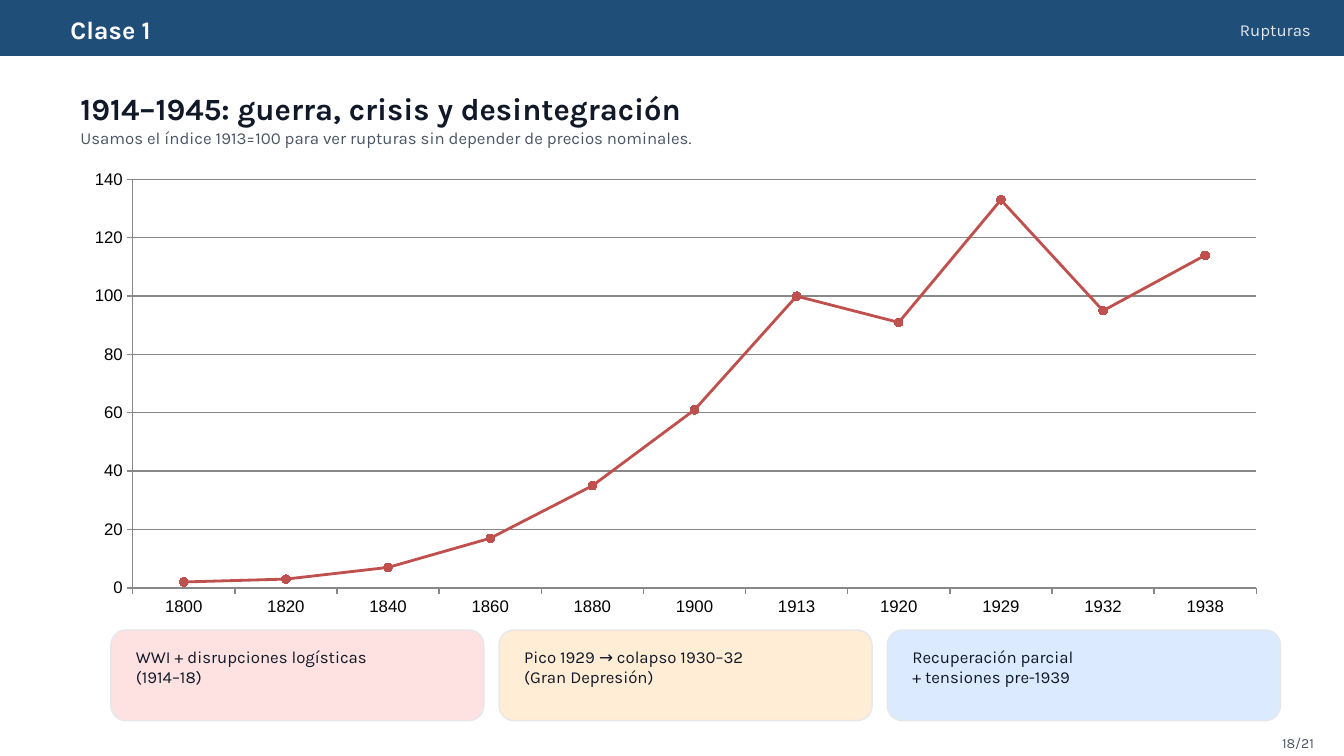
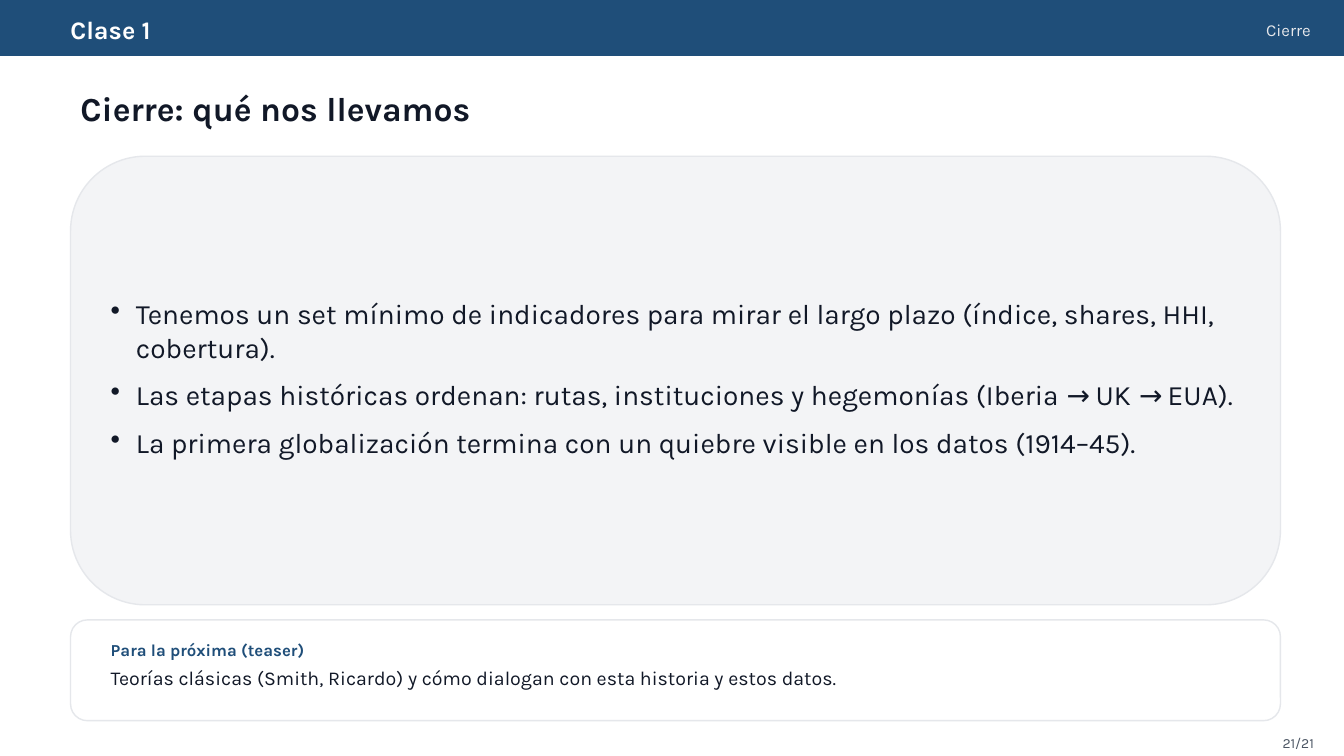
import pptx
import pptx.chart.data
import pptx.dml.color
import pptx.enum.chart
import pptx.enum.shapes
import pptx.enum.text
import pptx.util
import lxml.etree
import pptx.oxml.ns

RGB = pptx.dml.color.RGBColor
PT = pptx.util.Pt
INCH = pptx.util.Inches
SHAPE = pptx.enum.shapes.MSO_SHAPE
ALIGN = pptx.enum.text.PP_ALIGN
ANCHOR = pptx.enum.text.MSO_ANCHOR
CHART = pptx.enum.chart

NAVY = RGB(0x1F, 0x4E, 0x79)
WHITE = RGB(0xFF, 0xFF, 0xFF)
INK = RGB(0x11, 0x18, 0x27)
SLATE = RGB(0x4B, 0x55, 0x63)
EDGE = RGB(0xE5, 0xE7, 0xEB)
PALE = RGB(0xF3, 0xF4, 0xF6)
ROSE = RGB(0xFE, 0xE2, 0xE2)
PEACH = RGB(0xFF, 0xED, 0xD5)
SKY = RGB(0xDB, 0xEA, 0xFE)
BRICK = RGB(0xC0, 0x50, 0x4D)
GRAY = RGB(0x88, 0x88, 0x88)
BLACK = RGB(0, 0, 0)

# Grid: 12 columns between the margins, 75 rows down the slide
WIDE, HIGH = 13.33, 7.5
LEFT = 0.7
COLS, ROWS = 12, 75
COL, ROW = 1, HIGH / ROWS
PAGES = 21


def place(x, y, w, h):
    """Turn columns and rows into left, top, width and height."""
    return INCH(LEFT + x * COL), INCH(y * ROW), INCH(w * COL), INCH(h * ROW)


def panel(slide, area, fill, line=EDGE, kind=SHAPE.ROUNDED_RECTANGLE):
    shape = slide.shapes.add_shape(kind, *place(*area))
    shape.shadow.inherit = False
    shape.fill.solid()
    shape.fill.fore_color.rgb = fill
    shape.line.color.rgb = line
    shape.line.width = PT(1)


def bullet(para):
    props = para._p.get_or_add_pPr()
    props.set("marL", str(INCH(0.25)))
    props.set("indent", str(-INCH(0.25)))
    mark = lxml.etree.SubElement(props, pptx.oxml.ns.qn("a:buChar"))
    mark.set("char", "•")


def text(slide, area, lines, size, color=INK, bold=False, align=ALIGN.LEFT,
         anchor=ANCHOR.MIDDLE, dots=False):
    frame = slide.shapes.add_textbox(*place(*area)).text_frame
    frame.word_wrap = True
    frame.vertical_anchor = anchor
    for i, line in enumerate(lines):
        para = frame.add_paragraph() if i else frame.paragraphs[0]
        para.alignment = align
        if dots:
            para.space_after = PT(10)
            bullet(para)
        run = para.add_run()
        run.text = line
        run.font.name = "Karla"
        run.font.size = PT(size)
        run.font.bold = bold
        run.font.color.rgb = color


def start(deck, topic, title, size, page):
    """Add a slide with its band, title and page number."""
    slide = deck.slides.add_slide(deck.slide_layouts[6])
    panel(slide, (-LEFT, 0, WIDE, 5.5), NAVY, NAVY, SHAPE.RECTANGLE)
    text(slide, (-0.1, 1.2, 9.8, 3.5), ["Clase 1"], 18, WHITE, True)
    text(slide, (9.5, 1.5, 2.9, 3), [topic], 12, EDGE, align=ALIGN.RIGHT)
    text(slide, (0, 8.5, COLS, 4.5), [title], size, bold=True)
    text(slide, (11.53, 72.7, 0.9, 2), [f"{page}/{PAGES}"], 10, SLATE,
         align=ALIGN.RIGHT)
    return slide


def stroke(line, color, width):
    line.color.rgb = color
    line.width = PT(width)


def letter(font, name, size):
    font.name = name
    font.size = PT(size)
    font.color.rgb = BLACK


def graph(slide, area, points):
    data = pptx.chart.data.CategoryChartData()
    data.categories = list(points)
    data.add_series("Series 1", list(points.values()))
    chart = slide.shapes.add_chart(
        CHART.XL_CHART_TYPE.LINE_MARKERS, *place(*area), data).chart
    chart.has_legend = False
    chart.has_title = False
    letter(chart.font, "Calibri", 10)

    # Axes
    for axis in (chart.category_axis, chart.value_axis):
        letter(axis.tick_labels.font, "Arial", 12)
        axis.major_tick_mark = CHART.XL_TICK_MARK.OUTSIDE
        axis.minor_tick_mark = CHART.XL_TICK_MARK.NONE
        stroke(axis.format.line, GRAY, 1)
    chart.category_axis.tick_label_position = CHART.XL_TICK_LABEL_POSITION.LOW
    chart.value_axis.has_major_gridlines = True
    stroke(chart.value_axis.major_gridlines.format.line, GRAY, 1)

    # Line and markers
    plot = chart.plots[0]
    plot.vary_by_categories = False
    series = plot.series[0]
    series.smooth = False
    stroke(series.format.line, BRICK, 2)
    marker = series.marker
    marker.style = CHART.XL_MARKER_STYLE.CIRCLE
    marker.size = 6
    marker.format.fill.solid()
    marker.format.fill.fore_color.rgb = BRICK
    marker.format.line.color.rgb = BRICK


def card(slide, x, w, fill, lines):
    panel(slide, (x, 62.5, w, 9), fill)
    text(slide, (x + 0.15, 63.7, w - 0.3, 7), lines, 12, anchor=ANCHOR.TOP)


def breaks(deck):
    slide = start(deck, "Rupturas",
                  "1914–1945: guerra, crisis y desintegración", 22, 18)
    text(slide, (0, 12.2, COLS, 3),
         ["Usamos el índice 1913=100 para ver rupturas sin depender de "
          "precios nominales."], 12, SLATE)
    graph(slide, (0, 16, COLS, 46), {
        "1800": 2, "1820": 3, "1840": 7, "1860": 17, "1880": 35, "1900": 61,
        "1913": 100, "1920": 91, "1929": 133, "1932": 95, "1938": 114})

    # Three cards; the last one reaches the right margin
    cards = [
        (3.7, ROSE, ["WWI + disrupciones logísticas", "(1914–18)"]),
        (3.7, PEACH, ["Pico 1929 → colapso 1930–32", "(Gran Depresión)"]),
        (3.9, SKY, ["Recuperación parcial", "+ tensiones pre-1939"])]
    for i, (w, fill, lines) in enumerate(cards):
        card(slide, 0.4 + i * 3.85, w, fill, lines)


def close(deck):
    slide = start(deck, "Cierre", "Cierre: qué nos llevamos", 24, 21)
    # Takeaways
    panel(slide, (0, 15.5, COLS, 44.5), PALE)
    text(slide, (0.3, 18.5, 11.4, 38), [
        "Tenemos un set mínimo de indicadores para mirar el largo plazo "
        "(índice, shares, HHI, cobertura).",
        "Las etapas históricas ordenan: rutas, instituciones y hegemonías "
        "(Iberia → UK → EUA).",
        "La primera globalización termina con un quiebre visible en los "
        "datos (1914–45)."], 20, dots=True)
    # Teaser
    panel(slide, (0, 61.5, COLS, 10), WHITE)
    text(slide, (0.3, 63, 4, 3), ["Para la próxima (teaser)"], 12, NAVY, True)
    text(slide, (0.3, 65.5, 11.4, 3.5),
         ["Teorías clásicas (Smith, Ricardo) y cómo dialogan con esta "
          "historia y estos datos."], 14)


def main():
    deck = pptx.Presentation()
    deck.slide_width, deck.slide_height = INCH(WIDE), INCH(HIGH)
    breaks(deck)
    close(deck)
    deck.save("out.pptx")


if __name__ == "__main__":
    main()
